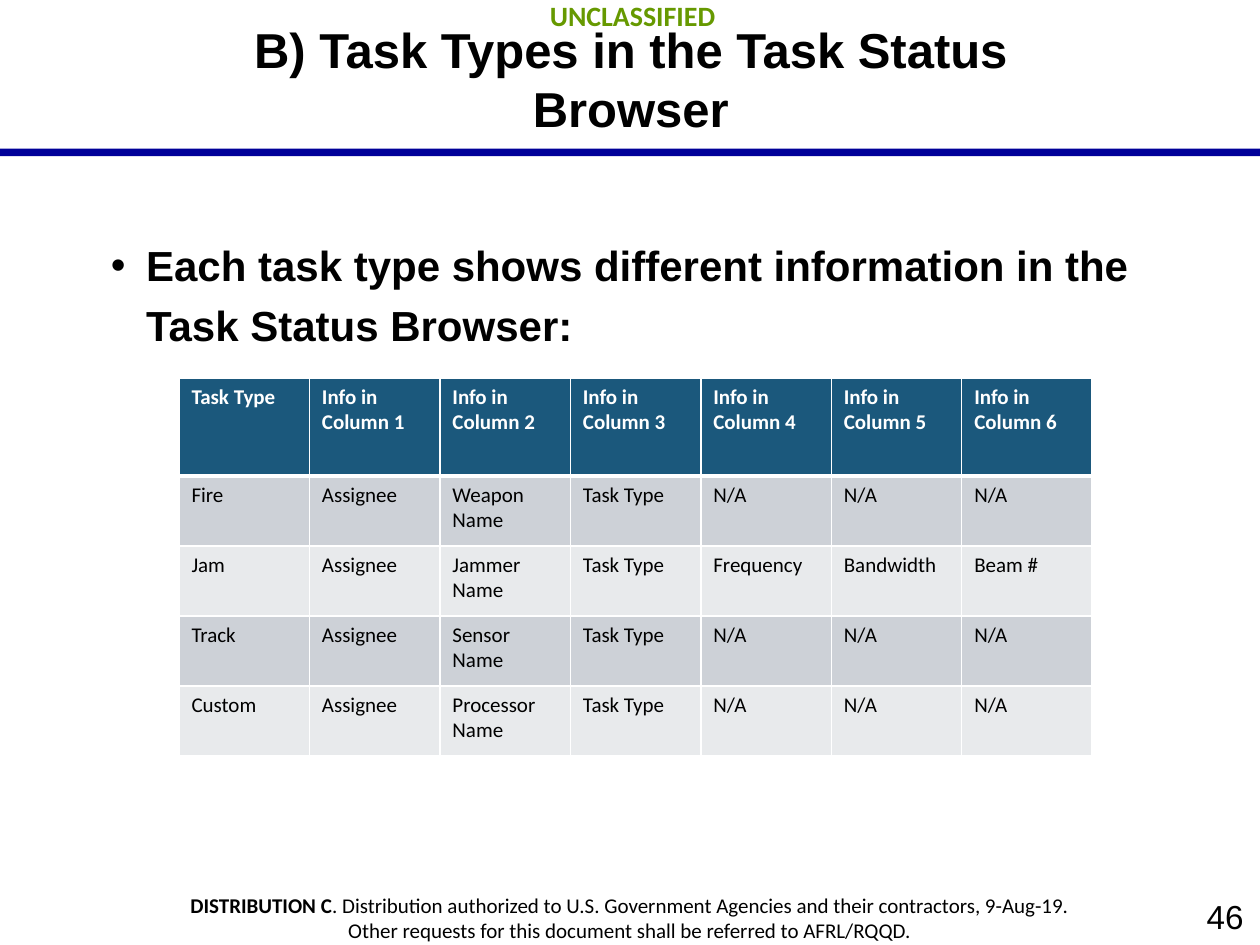
from lxml import etree
from pptx import Presentation
from pptx.dml.color import RGBColor
from pptx.enum.shapes import MSO_SHAPE
from pptx.enum.text import MSO_ANCHOR, PP_ALIGN
from pptx.oxml.ns import qn
from pptx.util import Pt

RECTANGLE = MSO_SHAPE.RECTANGLE
TOP, MIDDLE = MSO_ANCHOR.TOP, MSO_ANCHOR.MIDDLE
LEFT, CENTER, RIGHT = PP_ALIGN.LEFT, PP_ALIGN.CENTER, PP_ALIGN.RIGHT

BLACK = RGBColor(0x00, 0x00, 0x00)
WHITE = RGBColor(0xFF, 0xFF, 0xFF)
NAVY = RGBColor(0x00, 0x00, 0x99)
GREEN = RGBColor(0x66, 0x99, 0x00)
HEADER_BLUE = RGBColor(0x1B, 0x58, 0x7C)
BANDS = (RGBColor(0xCD, 0xD1, 0xD7), RGBColor(0xE8, 0xEA, 0xEC))

HEADINGS = ["Task Type"] + [f"Info in Column {number}" for number in range(1, 7)]
NOT_USED = ("N/A", "N/A", "N/A")
TASKS = [
    ("Fire", "Weapon Name", NOT_USED),
    ("Jam", "Jammer Name", ("Frequency", "Bandwidth", "Beam #")),
    ("Track", "Sensor Name", NOT_USED),
    ("Custom", "Processor Name", NOT_USED),
]


def place(shape, box):
    shape.left, shape.top, shape.width, shape.height = (Pt(value) for value in box)


def format_run(run, size, font_name, color, bold):
    run.font.size = Pt(size)
    run.font.name = font_name
    run.font.color.rgb = color
    run.font.bold = bold


def fill_text(shape, lines, size, font_name, color=BLACK, bold=False, align=CENTER, anchor=TOP):
    """Write one paragraph per line, all in the same format."""
    frame = shape.text_frame
    frame.word_wrap = True
    frame.vertical_anchor = anchor
    frame.margin_left = frame.margin_right = Pt(9.36)
    frame.margin_top = frame.margin_bottom = Pt(5.04)
    frame.text = "\n".join(lines)
    for paragraph in frame.paragraphs:
        paragraph.alignment = align
        for run in paragraph.runs:
            format_run(run, size, font_name, color, bold)


def add_text(slide, box, lines, *args, **options):
    shape = slide.shapes.add_textbox(*(Pt(value) for value in box))
    fill_text(shape, lines, *args, **options)
    return shape


def add_header(slide, box):
    left, top, width, height = box
    rule = slide.shapes.add_shape(RECTANGLE, Pt(left), Pt(top + height - 4.3), Pt(width), Pt(4.3))
    rule.shadow.inherit = False
    rule.fill.solid()
    rule.fill.fore_color.rgb = NAVY
    rule.line.fill.background()
    add_text(slide, (left + 1.5, top - 5.8, width, 28.8), ["UNCLASSIFIED"],
             16, "Calibri", GREEN, bold=True)
    title = slide.shapes.title
    place(title, (left + 99.4, top, 522, 90))
    fill_text(title, ["B) Task Types in the Task Status Browser"],
              28, "Arial", bold=True, anchor=MIDDLE)


def add_bullet_text(slide, box):
    shape = add_text(slide, box,
                     ["Each task type shows different information in the Task Status Browser:"],
                     24, "Arial", bold=True, align=LEFT)
    paragraph = shape.text_frame.paragraphs[0]
    paragraph.line_spacing = 1.2
    paragraph.space_before = Pt(8)
    properties = paragraph._p.get_or_add_pPr()
    properties.set("marL", str(Pt(38.16)))
    properties.set("indent", str(-Pt(20.16)))
    etree.SubElement(properties, qn("a:buFont")).set("typeface", "Arial")
    etree.SubElement(properties, qn("a:buChar")).set("char", "•")


def add_cell_borders(cell, top, bottom):
    properties = cell._tc.get_or_add_tcPr()
    for tag, width in (("lnL", 1), ("lnR", 1), ("lnT", top), ("lnB", bottom)):
        line = etree.SubElement(properties, qn(f"a:{tag}"), w=str(Pt(width)))
        fill = etree.SubElement(line, qn("a:solidFill"))
        etree.SubElement(fill, qn("a:srgbClr"), val=str(WHITE))


def add_task_table(slide, box):
    rows = [HEADINGS]
    rows += [[task, "Assignee", name, "Task Type", *details] for task, name, details in TASKS]
    table = slide.shapes.add_table(len(rows), len(HEADINGS),
                                   *(Pt(value) for value in box)).table
    for column in table.columns:
        column.width = Pt(box[2] / len(HEADINGS))
    for row_index, values in enumerate(rows):
        is_header = row_index == 0
        table.rows[row_index].height = Pt(56 if is_header else 40)
        for column_index, value in enumerate(values):
            cell = table.cell(row_index, column_index)
            add_cell_borders(cell, 3 if row_index == 1 else 1, 3 if is_header else 1)
            cell.fill.solid()
            cell.fill.fore_color.rgb = HEADER_BLUE if is_header else BANDS[(row_index - 1) % 2]
            cell.text_frame.text = value
            format_run(cell.text_frame.paragraphs[0].runs[0], 12, "Calibri",
                       WHITE if is_header else BLACK, is_header)


def add_footer(slide, box):
    left, top, width, height = box
    notice = add_text(slide, box, [
        "DISTRIBUTION C",
        "Other requests for this document shall be referred to AFRL/RQQD.",
    ], 12, "Calibri")
    first = notice.text_frame.paragraphs[0]
    first.runs[0].font.bold = True
    run = first.add_run()
    run.text = (". Distribution authorized to U.S. Government Agencies "
                "and their contractors, 9-Aug-19.")
    format_run(run, 12, "Calibri", BLACK, False)
    add_text(slide, (left + width - 144, top + 2.9, 144, 32.4), ["46"],
             19, "Arial", align=RIGHT, anchor=MIDDLE)


def main():
    presentation = Presentation()
    presentation.slide_width, presentation.slide_height = Pt(720), Pt(540)
    slide = presentation.slides.add_slide(presentation.slide_layouts[5])
    add_header(slide, (0, 0, 720, 89.3))
    add_bullet_text(slide, (36, 126, 648, 356.4))
    add_task_table(slide, (102.24, 216, 522, 216))
    add_footer(slide, (0, 504.7, 720, 38.9))
    presentation.save("out.pptx")


if __name__ == "__main__":
    main()
